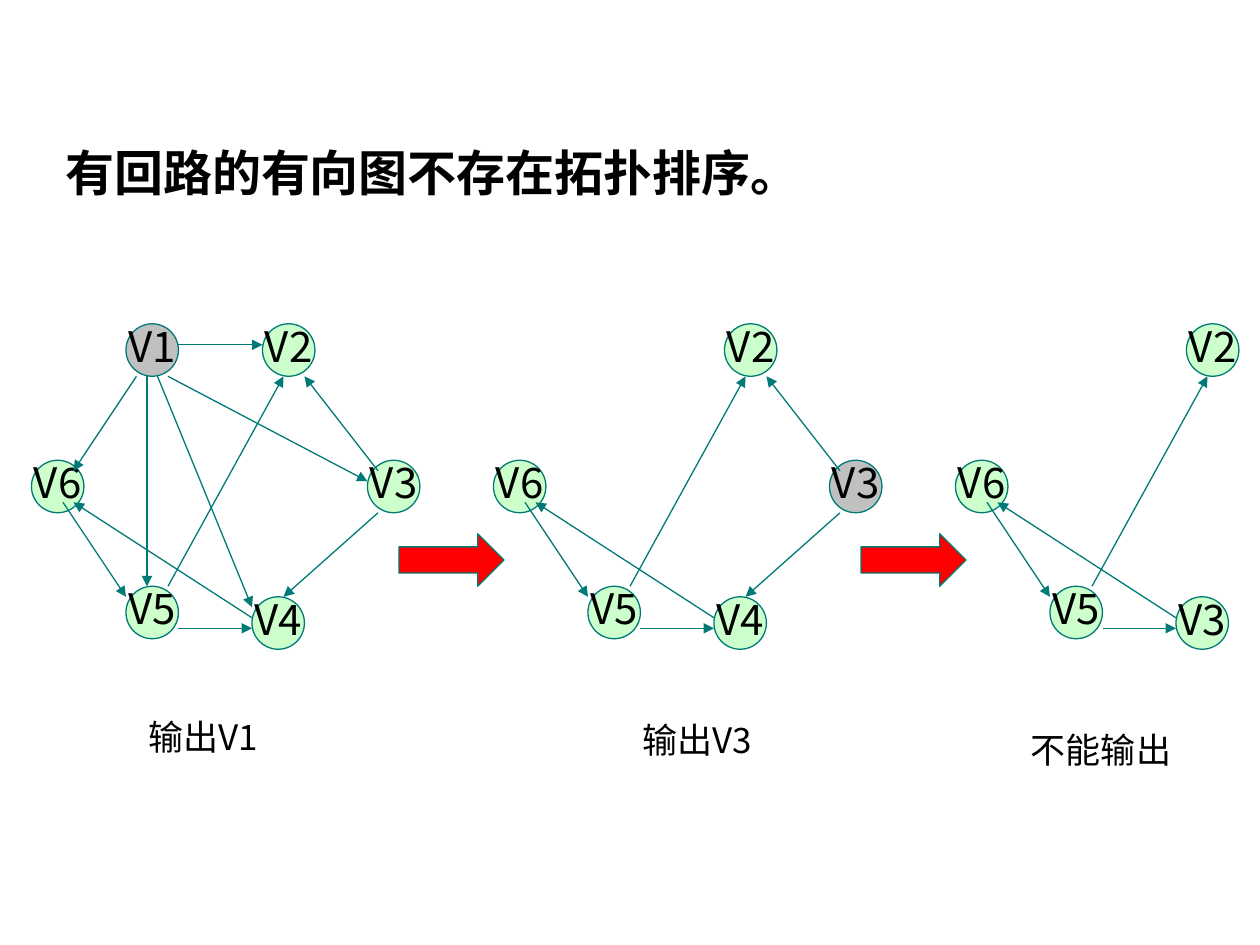
import pptx
import pptx.dml.color
import pptx.enum.shapes
import pptx.enum.text
import pptx.oxml.ns
import pptx.util
from lxml import etree
from pptx.util import Inches

FONT = "Noto Sans CJK SC"
TEAL, GREEN, GREY, RED, BLACK = "007A77", "CCFFCC", "C0C0C0", "FF0000", "000000"
UNIT = 1 / 12  # grid step of the graphs, in inches
NODE_SIZE = 5
PANEL_PITCH = 44
LEFT, TOP = 0.25, 2.57

# Grid positions inside one graph
NODES = {"V2": (22, 0), "V6": (0, 13), "V4": (21, 26),
         "V3": (32, 13), "V1": (9, 0), "V5": (9, 25)}
EDGES = {
    ("V1", "V6"): ((10, 5), (4, 14)),
    ("V1", "V2"): ((14, 2), (22, 2)),
    ("V1", "V3"): ((13, 5), (32, 15)),
    ("V1", "V4"): ((12, 5), (21, 27)),
    ("V1", "V5"): ((11, 5), (11, 25)),
    ("V5", "V2"): ((13, 25), (24, 5)),
    ("V4", "V6"): ((21, 28), (4, 17)),
    ("V5", "V4"): ((14, 29), (21, 29)),
    ("V3", "V4"): ((33, 18), (24, 26)),
    ("V3", "V2"): ((33, 14), (26, 5)),
    ("V6", "V5"): ((3, 17), (9, 26)),
}


def rgb(color):
    return pptx.dml.color.RGBColor.from_string(color)


def add_run(p, text, size, bold=False):
    r = p.add_run()
    r.text = text
    r.font.name = FONT
    r.font.size = pptx.util.Pt(size)
    r.font.bold = bold
    r.font.color.rgb = rgb(BLACK)
    ea = etree.SubElement(r.font._element, pptx.oxml.ns.qn("a:ea"))
    ea.set("typeface", FONT)


def add_text(slide, text, left, top, width, height, size, space, bold=False):
    tf = slide.shapes.add_textbox(Inches(left), Inches(top),
                                  Inches(width), Inches(height)).text_frame
    tf.word_wrap = True
    tf.auto_size = pptx.enum.text.MSO_AUTO_SIZE.SHAPE_TO_FIT_TEXT
    p = tf.paragraphs[0]
    p.space_before = pptx.util.Pt(space)
    add_run(p, text, size, bold)


def add_outlined(slide, kind, left, top, width, height, fill):
    sp = slide.shapes.add_shape(kind, Inches(left), Inches(top),
                                Inches(width), Inches(height))
    sp.shadow.inherit = False
    sp.fill.solid()
    sp.fill.fore_color.rgb = rgb(fill)
    sp.line.color.rgb = rgb(TEAL)
    sp.line.width = pptx.util.Pt(0.75)
    return sp


def add_node(slide, label, left, top, fill):
    size = NODE_SIZE * UNIT
    sp = add_outlined(slide, pptx.enum.shapes.MSO_SHAPE.OVAL,
                      left, top, size, size, fill)
    tf = sp.text_frame
    tf.word_wrap = False
    tf.vertical_anchor = pptx.enum.text.MSO_ANCHOR.MIDDLE
    p = tf.paragraphs[0]
    p.alignment = pptx.enum.text.PP_ALIGN.CENTER
    p.line_spacing = 0.8
    add_run(p, label, 24)


def add_edge(slide, x1, y1, x2, y2):
    line = slide.shapes.add_connector(pptx.enum.shapes.MSO_CONNECTOR.STRAIGHT,
                                      Inches(x1), Inches(y1), Inches(x2), Inches(y2))
    line.line.color.rgb = rgb(TEAL)
    line.line.width = pptx.util.Pt(0.75)
    ln = line.line._get_or_add_ln()
    etree.SubElement(ln, pptx.oxml.ns.qn("a:tailEnd")).set("type", "triangle")
    etree.SubElement(line._element.spPr, pptx.oxml.ns.qn("a:effectLst"))


def add_graph(slide, left, top, names, output, labels):
    """Draw the named nodes and every edge between them; the output node is grey."""
    for name, (x, y) in NODES.items():
        if name in names:
            add_node(slide, labels.get(name, name), left + x * UNIT, top + y * UNIT,
                     GREY if name == output else GREEN)
    for (start, end), ((x1, y1), (x2, y2)) in EDGES.items():
        if start in names and end in names:
            add_edge(slide, left + x1 * UNIT, top + y1 * UNIT,
                     left + x2 * UNIT, top + y2 * UNIT)


def add_step_arrow(slide, left, top):
    add_outlined(slide, pptx.enum.shapes.MSO_SHAPE.RIGHT_ARROW,
                 left + 35 * UNIT, top + 20 * UNIT, 10 * UNIT, 5 * UNIT, RED)


def main():
    prs = pptx.Presentation()
    prs.slide_width, prs.slide_height = Inches(10), Inches(7.5)
    slide = prs.slides.add_slide(prs.slide_layouts[6])

    # Nodes left, output node, changed labels, caption and its left, top, width
    steps = [
        (("V1", "V2", "V3", "V4", "V5", "V6"), "V1", {}, "输出V1", 0.83, 3.06, 1.25),
        (("V2", "V3", "V4", "V5", "V6"), "V3", {}, "输出V3", 1.08, 3.08, 1.25),
        (("V2", "V4", "V5", "V6"), None, {"V4": "V3"}, "不能输出", 0.5, 3.16, 1.67),
    ]
    for i, (names, output, labels, caption, x, y, width) in enumerate(steps):
        left = LEFT + i * PANEL_PITCH * UNIT
        add_graph(slide, left, TOP, names, output, labels)
        if i < len(steps) - 1:
            add_step_arrow(slide, left, TOP)
        add_text(slide, caption, left + x, TOP + y, width, 0.44, 20, 12.5)

    add_text(slide, "有回路的有向图不存在拓扑排序。", 0.42, 1.08, 7.42, 0.57, 28, 17.5, True)
    prs.save("out.pptx")


if __name__ == "__main__":
    main()
